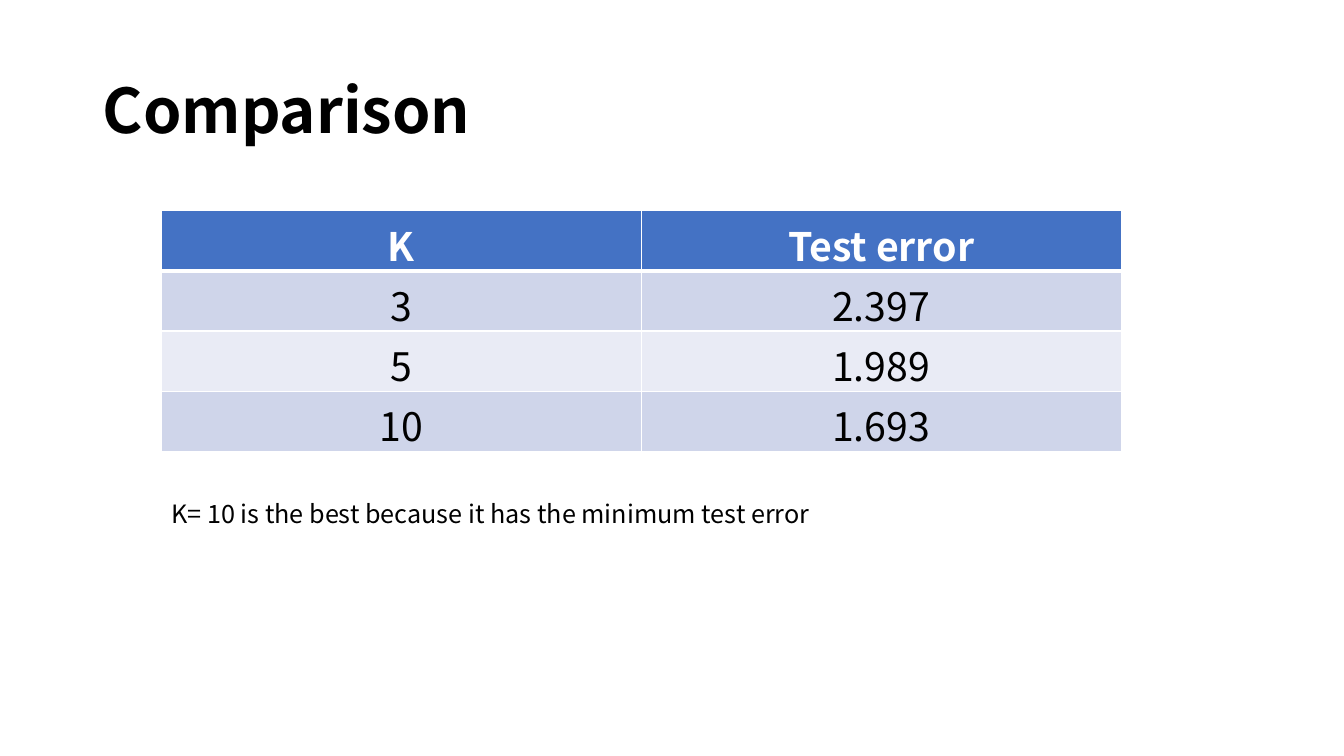
"""Build a slide that compares test errors across values of K."""
from dataclasses import dataclass

from lxml import etree
from pptx import Presentation
from pptx.dml.color import RGBColor
from pptx.enum.text import MSO_ANCHOR, PP_ALIGN
from pptx.oxml.ns import qn
from pptx.slide import Slide
from pptx.table import _Cell
from pptx.text.text import _Paragraph
from pptx.util import Emu, Inches, Pt

CENTER = PP_ALIGN.CENTER
TOP, MIDDLE = MSO_ANCHOR.TOP, MSO_ANCHOR.MIDDLE
WIDE, HIGH = Inches(13.33), Inches(7.5)


@dataclass(frozen=True)
class Theme:
    """Hold the font, colours and type sizes."""
    font: str = "Noto Sans CJK SC"
    ink: str = "000000"
    white: str = "FFFFFF"
    head: str = "4472C4"
    bands: tuple[str, str] = ("CFD5EA", "E9EBF5")
    title: int = 44
    cell: int = 28
    note: int = 18
    thin: int = 1
    thick: int = 3


@dataclass(frozen=True)
class Box:
    """Give a frame as percentages of the slide's size."""
    left: float
    top: float
    width: float
    height: float

    def frame(self) -> tuple[Emu, Emu, Emu, Emu]:
        """Return the frame in slide units."""
        pairs = ((self.left, WIDE), (self.top, HIGH),
                 (self.width, WIDE), (self.height, HIGH))
        x, y, w, h = (Emu(round(part * full / 100)) for part, full in pairs)
        return x, y, w, h


@dataclass(frozen=True)
class Label:
    """Describe one line of free text."""
    text: str
    box: Box
    size: int
    bold: bool = False
    anchor: MSO_ANCHOR = TOP
    pitch: float = 1.0


THEME = Theme()
LABELS = (
    Label("Comparison", Box(6.9, 5.33, 86.27, 19.33), THEME.title, True, MIDDLE, 0.9),
    Label("K= 10 is the best because it has the minimum test error",
          Box(12, 65.2, 64.89, 5.33), THEME.note),
)
GRID = Box(12, 27.87, 71.42, 31.87)
ROWS = (("K", "Test error"), ("3", "2.397"), ("5", "1.989"), ("10", "1.693"))


def style(line: _Paragraph, size: int, color: str, bold: bool) -> None:
    """Format every run of a paragraph."""
    for run in line.runs:
        run.font.name = THEME.font
        run.font.size = Pt(size)
        run.font.bold = bold
        run.font.color.rgb = RGBColor.from_string(color)


def write(slide: Slide, label: Label) -> None:
    """Draw one label."""
    frame = slide.shapes.add_textbox(*label.box.frame()).text_frame
    frame.word_wrap = True
    frame.vertical_anchor = label.anchor
    frame.text = label.text
    line = frame.paragraphs[0]
    line.line_spacing = label.pitch
    style(line, label.size, THEME.ink, label.bold)


def edge(cell: _Cell, side: str, width: int) -> None:
    """Add a white border to one side of a cell."""
    props = cell._tc.get_or_add_tcPr()
    rule = etree.SubElement(props, qn(f"a:ln{side}"), w=str(Pt(width)))
    fill = etree.SubElement(rule, qn("a:solidFill"))
    etree.SubElement(fill, qn("a:srgbClr"), val=THEME.white)


def paint(cell: _Cell, text: str, row: int) -> None:
    """Fill in one cell of the table."""
    head = row == 0
    for side in "LRTB":
        heavy = (side == "B" and head) or (side == "T" and row == 1)
        edge(cell, side, THEME.thick if heavy else THEME.thin)
    shade = THEME.head if head else THEME.bands[(row - 1) % 2]
    cell.fill.solid()
    cell.fill.fore_color.rgb = RGBColor.from_string(shade)
    cell.text_frame.text = text
    line = cell.text_frame.paragraphs[0]
    line.alignment = CENTER
    style(line, THEME.cell, THEME.white if head else THEME.ink, head)


def tabulate(slide: Slide) -> None:
    """Draw the table of test errors."""
    table = slide.shapes.add_table(len(ROWS), len(ROWS[0]), *GRID.frame()).table
    for r, row in enumerate(ROWS):
        for c, text in enumerate(row):
            paint(table.cell(r, c), text, r)


def main() -> None:
    """Build and save the deck."""
    deck = Presentation()
    deck.slide_width, deck.slide_height = WIDE, HIGH
    slide = deck.slides.add_slide(deck.slide_layouts[6])
    title, note = LABELS
    write(slide, title)
    tabulate(slide)
    write(slide, note)
    deck.save("out.pptx")


if __name__ == "__main__":
    main()
